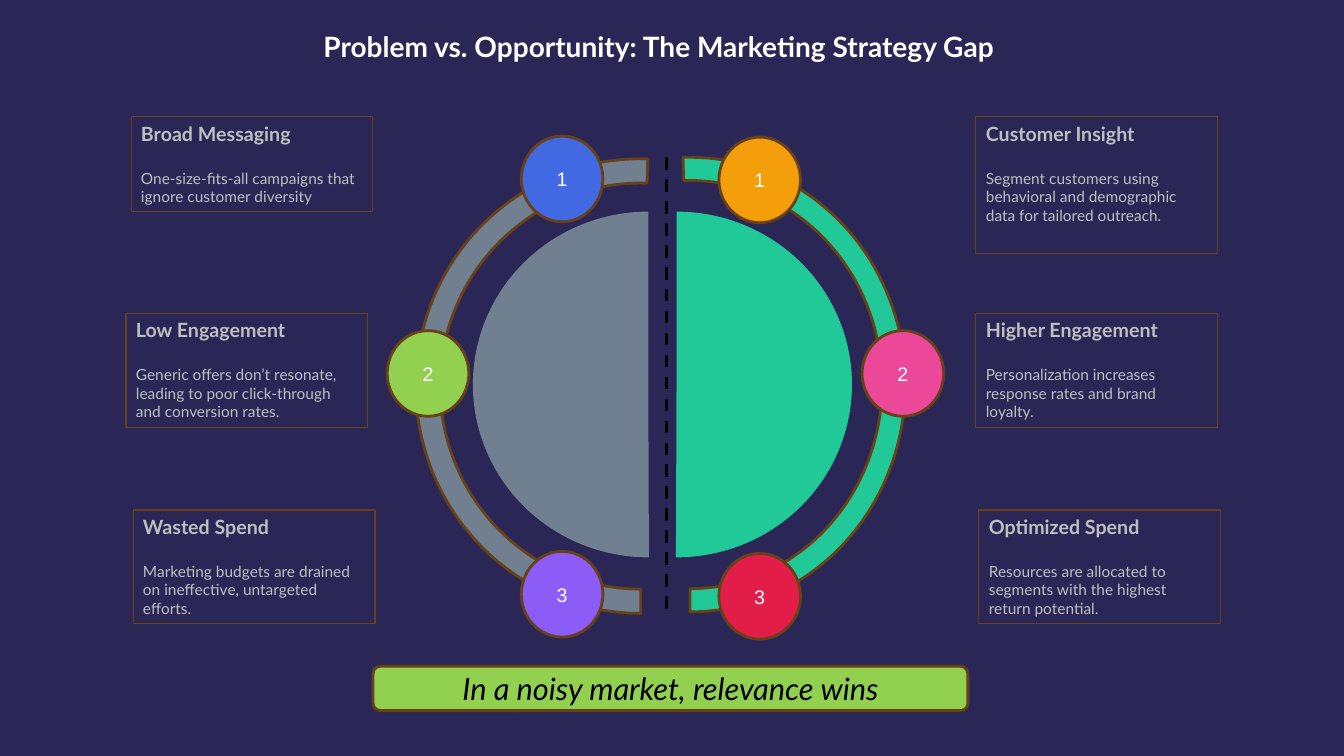
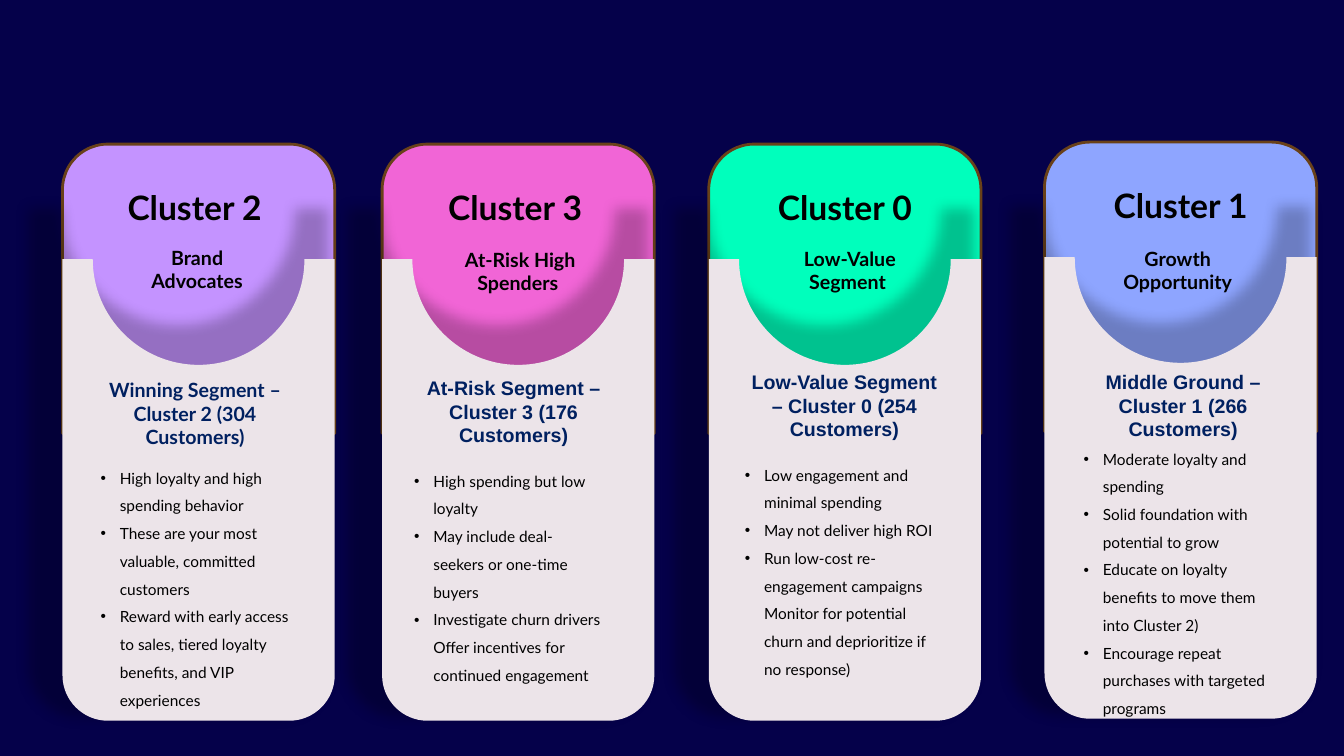
from lxml.etree import SubElement
from pptx import Presentation
from pptx.dml.color import RGBColor
from pptx.enum.dml import MSO_LINE
from pptx.enum.shapes import MSO_CONNECTOR, MSO_SHAPE
from pptx.enum.text import MSO_ANCHOR, PP_ALIGN
from pptx.oxml.ns import qn
from pptx.util import Inches, Pt

BROWN, BLACK, WHITE, SILVER = "694119", "000000", "FFFFFF", "BFBFBF"
GRAY, GREEN, LIME, NAVY, PAPER = "708090", "20C997", "92D050", "002060", "ECE4E9"

# Slide 1 content
TITLE = "Problem vs. Opportunity: The Marketing Strategy Gap"
SLOGAN = "In a noisy market, relevance wins"
PIES = [(4.69, GRAY, False), (4.97, GREEN, True)]
ARCS = [((4.1, 1.6, 4.51, 4.46), 270, GRAY, False),
        ((4.59, 1.68, 4.51, 4.27), 90, GREEN, True)]
DOTS = [  # number, left, top, fill
    ("1", 5.17, 1.35, "4169E1"), ("3", 5.17, 5.47, "8B5CF6"),
    ("2", 3.84, 3.28, LIME), ("1", 7.13, 1.36, "F59E0B"),
    ("3", 7.13, 5.49, "E11D48"), ("2", 8.55, 3.28, "EC4899"),
]
ROWS = [1.16, 3.11, 5.06]
NOTES = [  # row, left, height, heading, body
    (0, 1.3, 0.94, "Broad Messaging",
     "One-size-fits-all campaigns that ignore customer diversity"),
    (1, 1.25, 1.13, "Low Engagement",
     "Generic offers don’t resonate, leading to poor click-through and conversion rates."),
    (2, 1.32, 1.13, "Wasted Spend",
     "Marketing budgets are drained on ineffective, untargeted efforts."),
    (0, 9.68, 1.36, "Customer Insight",
     "Segment customers using behavioral and demographic data for tailored outreach."),
    (1, 9.68, 1.13, "Higher Engagement",
     "Personalization increases response rates and brand loyalty."),
    (2, 9.71, 1.13, "Optimized Spend",
     "Resources are allocated to segments with the highest return potential."),
]

# Slide 2 content: name, head and list hold (left, top) of their boxes
CARDS = [
    dict(at=(0.62, 1.43), fill="C493FF", name="Cluster 2", name_x=0.83,
         tag="Brand Advocates", tag_at=(1.25, 2.39, 1.41),
         head="Winning Segment – Cluster 2 (304 Customers)",
         head_at=(0.9, 3.7), font="Lato", list_at=(0.9, 4.51), list_high=2.56,
         points=["High loyalty and high spending behavior",
                 "These are your most valuable, committed customers",
                 "Reward with early access to sales, tiered loyalty benefits, "
                 "and VIP experiences"]),
    dict(at=(3.79, 1.43), fill="F165D6", name="Cluster 3", name_x=4.01,
         tag="At-Risk High Spenders ", tag_at=(4.42, 2.41, 1.48),
         head="At-Risk Segment – Cluster 3 (176 Customers)",
         head_at=(4.06, 3.68), font="Arial", list_at=(4.01, 4.54), list_high=2.29,
         points=["High spending but low loyalty",
                 "May include deal-seekers or one-time buyers",
                 "Investigate churn drivers Offer incentives for continued engagement"]),
    dict(at=(7.03, 1.43), fill="00FFBC", name="Cluster 0", name_x=7.28,
         tag="Low-Value Segment ", tag_at=(7.83, 2.4, 1.2),
         head="Low-Value Segment – Cluster 0 (254 Customers)",
         head_at=(7.34, 3.62), font="Arial", list_at=(7.29, 4.48), list_high=2.63,
         points=["Low engagement and minimal spending",
                 "May not deliver high ROI",
                 "Run low-cost re-engagement campaigns Monitor for potential "
                 "churn and deprioritize if no response)"]),
    dict(at=(10.36, 1.41), fill="8EA5FF", name="Cluster 1", name_x=10.61,
         tag="Growth Opportunity", tag_at=(10.94, 2.4, 1.48),
         head="Middle Ground – Cluster 1 (266 Customers)",
         head_at=(10.7, 3.62), font="Arial", list_at=(10.65, 4.32), list_high=2.84,
         points=["Moderate loyalty and spending",
                 "Solid foundation with potential to grow",
                 "Educate on loyalty benefits to move them into Cluster 2)",
                 "Encourage repeat purchases with targeted programs"]),
]


def rgb(code):
    return RGBColor.from_string(code)


def new_slide(deck, back):
    slide = deck.slides.add_slide(deck.slide_layouts[6])
    slide.background.fill.solid()
    slide.background.fill.fore_color.rgb = rgb(back)
    return slide


def paint(shape, fill=None, line=None, width=2):
    shape.shadow.inherit = False
    if fill:
        shape.fill.solid()
        shape.fill.fore_color.rgb = rgb(fill)
    else:
        shape.fill.background()
    if line:
        shape.line.color.rgb = rgb(line)
        shape.line.width = Pt(width)
    else:
        shape.line.fill.background()
    return shape


def add(slide, kind, box, adjust=(), flip=False, turn=0, **look):
    shape = slide.shapes.add_shape(kind, *map(Inches, box))
    for i, value in enumerate(adjust):
        shape.adjustments[i] = value
    shape.rotation = turn
    if flip:
        shape.element.spPr.xfrm.set("flipH", "1")
    return paint(shape, **look)


def text_box(slide, box):
    return slide.shapes.add_textbox(*map(Inches, box))


def write(shape, *lines, size=14, font="Lato", color=BLACK, bold=False, italic=False,
          align=PP_ALIGN.LEFT, anchor=MSO_ANCHOR.TOP, before=0, spacing=None,
          bullet=False):
    """Append each line as a paragraph."""
    frame = shape.text_frame
    frame.word_wrap = True
    frame.vertical_anchor = anchor
    for line in lines:
        para = frame.add_paragraph() if frame.text else frame.paragraphs[0]
        para.text = line
        para.alignment = align
        if before:
            para.space_before = Pt(before)
        if spacing:
            para.line_spacing = spacing
        if bullet:
            props = para._p.get_or_add_pPr()
            props.set("marL", str(Inches(0.19)))
            props.set("indent", str(-Inches(0.19)))
            tint = SubElement(props, qn("a:buClr"))
            SubElement(tint, qn("a:srgbClr"), val=BLACK)
            SubElement(props, qn("a:buFont"), typeface="Arial")
            SubElement(props, qn("a:buChar"), char="•")
        face = para.font
        face.name, face.size = font, Pt(size)
        face.bold, face.italic = bold, italic
        face.color.rgb = rgb(color)


def add_curves(slide, start, steps):
    """Closed outline; a step of one point is a line, of three a curve."""
    spots = [(Inches(x), Inches(y)) for step in steps for x, y in step]
    pen = slide.shapes.build_freeform(*map(Inches, start))
    pen.add_line_segments(spots, close=True)
    shape = pen.convert_to_shape()
    parts = iter(list(shape.element.iter(qn("a:lnTo"))))
    for step in steps:
        lines = [next(parts) for _ in step]
        if len(lines) == 3:
            curve = SubElement(lines[0].getparent(), qn("a:cubicBezTo"))
            lines[0].addprevious(curve)
            for line in lines:
                curve.append(line[0])
                line.getparent().remove(line)
    return shape


def add_panel(slide, x, y, wide=2.7, high=4.58, notch=1.05, corner=0.45):
    """Sheet with a round notch on top, round lower corners and a soft shadow."""
    mid, right, low = x + wide / 2, x + wide, y + high
    pull, bend, ease = notch * 0.55, notch * 0.45, corner * 0.45
    steps = [
        [(mid - notch, y)],
        [(mid - notch, y + pull), (mid - notch + bend, y + notch), (mid, y + notch)],
        [(mid + notch - bend, y + notch), (mid + notch, y + pull), (mid + notch, y)],
        [(right, y)],
        [(right, low - corner)],
        [(right, low - ease), (right - ease, low), (right - corner, low)],
        [(x + corner, low)],
        [(x + ease, low), (x, low - ease), (x, low - corner)],
    ]
    panel = paint(add_curves(slide, (x, y), steps), PAPER)
    effects = panel.element.spPr.find(qn("a:effectLst"))
    shade = SubElement(effects, qn("a:outerShdw"), blurRad=str(Pt(10)), dist=str(Pt(6)),
                       dir="12700000", sx="110000", sy="110000", algn="br",
                       rotWithShape="0")
    tint = SubElement(shade, qn("a:srgbClr"), val=BLACK)
    SubElement(tint, qn("a:alpha"), val="23000")


def build_gap(deck):
    slide = new_slide(deck, "2A2756")
    # Half discs and rings
    for (left, fill, flip), (box, turn, tone, turned) in zip(PIES, ARCS):
        add(slide, MSO_SHAPE.PIE, (left, 2.1, 3.48, 3.43), (53.88, 162), flip, fill=fill)
        add(slide, MSO_SHAPE.BLOCK_ARC, box, (108, 1.07, 0.054), turned, turn,
            fill=tone, line=BROWN)
    # Divider
    rule = slide.shapes.add_connector(MSO_CONNECTOR.STRAIGHT, Inches(6.61), Inches(1.56),
                                      Inches(6.61), Inches(6.08))
    rule.line.color.rgb = rgb(BLACK)
    rule.line.width = Pt(2.25)
    rule.line.dash_style = MSO_LINE.DASH
    SubElement(rule.element.spPr, qn("a:effectLst"))
    # Numbered dots
    centre = dict(align=PP_ALIGN.CENTER, anchor=MSO_ANCHOR.MIDDLE)
    for number, left, top, fill in DOTS:
        dot = add(slide, MSO_SHAPE.OVAL, (left, top, 0.81, 0.85), fill=fill, line=BROWN)
        write(dot, number, font="Arial", color=WHITE, **centre)
    # Notes on both sides
    for row, left, high, head, body in NOTES:
        note = add(slide, MSO_SHAPE.RECTANGLE, (left, ROWS[row], 2.4, high),
                   line=BROWN, width=0.75)
        write(note, head, color=SILVER, bold=True)
        write(note, body, size=11, color=SILVER, before=16.8)
    # Slogan and title
    band = add(slide, MSO_SHAPE.ROUNDED_RECTANGLE, (3.7, 6.61, 5.9, 0.44),
               fill=LIME, line=BROWN)
    write(band, SLOGAN, size=22, italic=True, **centre)
    write(text_box(slide, (3.11, 0.24, 6.93, 0.44)), TITLE, size=20, color=WHITE, bold=True)


def build_clusters(deck):
    slide = new_slide(deck, "05014A")
    strong = dict(bold=True, align=PP_ALIGN.CENTER)
    for card in CARDS:
        (left, top), fill = card["at"], card["fill"]
        # Coloured top with name and tag
        add(slide, MSO_SHAPE.ROUND_2_SAME_RECTANGLE, (left, top, 2.7, 2.87),
            fill=fill, line=BROWN)
        name = add(slide, MSO_SHAPE.RECTANGLE, (card["name_x"], top + 0.38, 2.2, 0.5),
                   fill=fill)
        write(name, card["name"], size=24, **strong)
        tag = add(slide, MSO_SHAPE.RECTANGLE, (*card["tag_at"], 0.57), fill=fill)
        write(tag, card["tag"], **strong)
        # Notched sheet with heading and list
        add_panel(slide, left, top + 1.14)
        write(text_box(slide, (*card["head_at"], 2.07, 0.81)), card["head"],
              font=card["font"], color=NAVY, **strong)
        write(text_box(slide, (*card["list_at"], 2.07, card["list_high"])),
              *card["points"], size=11, spacing=1.5, bullet=True)


def main():
    deck = Presentation()
    deck.slide_width, deck.slide_height = Inches(13.33), Inches(7.5)
    build_gap(deck)
    build_clusters(deck)
    deck.save("out.pptx")


if __name__ == "__main__":
    main()
